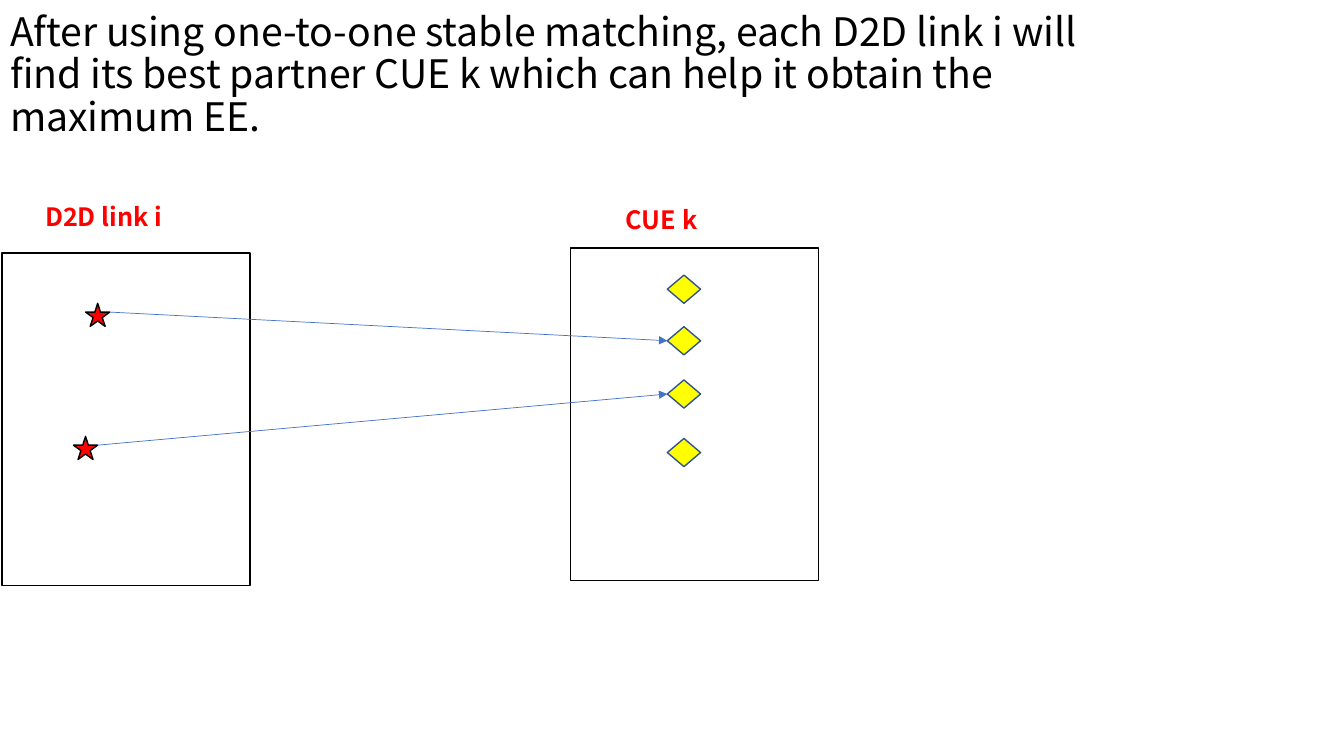
from dataclasses import dataclass

import pptx
import pptx.util
import pptx.dml.color
import pptx.enum.shapes
import pptx.enum.text
import pptx.oxml
import pptx.oxml.ns

SHAPE = pptx.enum.shapes.MSO_SHAPE
ANCHOR = pptx.enum.text.MSO_ANCHOR
AUTO = pptx.enum.text.MSO_AUTO_SIZE
LEFT = pptx.enum.text.PP_ALIGN.LEFT


@dataclass(frozen=True)
class Theme:
    font: str = "Noto Sans CJK SC"
    black: str = "000000"
    white: str = "FFFFFF"
    red: str = "FF0000"
    yellow: str = "FFFF00"
    navy: str = "325491"
    blue: str = "4472C4"
    title_size: float = 28
    label_size: float = 18
    outline: float = 1
    arrow: float = 0.5


THEME = Theme()
STAR_TIP = 0.38  # height of a star's side points, as a share of the star

TITLE = ("After using one-to-one stable matching, each D2D link i will find its "
         "best partner CUE k which can help it obtain the maximum EE.")

# Boxes are left, top, width, height in percent of the slide;
# labels, marker sizes and marker centres are in percent of their panel.
TITLE_BOX = (0, 0.4, 86.27, 19.33)
LINKS = dict(box=(0.15, 33.47, 18.45, 44), label="D2D link i",
             label_box=(13.41, -16.97, 63.01, 12.12),
             kind=SHAPE.STAR_5_POINT, fill=THEME.red, line=THEME.black,
             size=(9.76, 6.97), centres=[(38.6, 18.6), (33.7, 58.6)])
CUES = dict(box=(42.46, 32.8, 18.45, 44), label="CUE k",
            label_box=(18.29, -14.55, 63.01, 12.12),
            kind=SHAPE.FLOWCHART_DECISION, fill=THEME.yellow, line=THEME.navy,
            size=(13.41, 8.48),
            centres=[(45.7, y) for y in (12.4, 27.9, 43.9, 61.5)])
MATCHES = {0: 1, 1: 2}  # link index -> index of its partner CUE


def rgb(code):
    return pptx.dml.color.RGBColor.from_string(code)


def within(parent, percent):
    """Turn a percent box into lengths inside the parent box."""
    left, top, width, height = parent
    x, y, w, h = (v / 100 for v in percent)
    return [int(v) for v in (left + x * width, top + y * height, w * width, h * height)]


def apply(target, values):
    for name, value in values.items():
        setattr(target, name, value)


def write(sp, text, frame, para, font, color):
    tf = sp.text_frame
    apply(tf, dict(word_wrap=True, **frame))
    p = tf.paragraphs[0]
    apply(p, dict(alignment=LEFT, **para))
    r = p.add_run()
    r.text = text
    apply(r.font, dict(name=THEME.font, **font))
    r.font.color.rgb = rgb(color)


def add_title(s, slide_box):
    sp = s.shapes.title
    apply(sp, dict(zip(("left", "top", "width", "height"), within(slide_box, TITLE_BOX))))
    write(sp, TITLE,
          dict(vertical_anchor=ANCHOR.MIDDLE, auto_size=AUTO.TEXT_TO_FIT_SHAPE),
          dict(line_spacing=0.9),
          dict(size=pptx.util.Pt(THEME.title_size), bold=False), THEME.black)


def add_outlined(s, kind, box, fill, line):
    sp = s.shapes.add_shape(kind, *box)
    sp.shadow.inherit = False
    sp.fill.solid()
    sp.fill.fore_color.rgb = rgb(fill)
    sp.line.color.rgb = rgb(line)
    sp.line.width = pptx.util.Pt(THEME.outline)
    return sp


def add_panel(s, box, panel):
    """Draw a labelled frame with its markers and return the markers."""
    add_outlined(s, SHAPE.RECTANGLE, box, THEME.white, THEME.black)
    write(s.shapes.add_textbox(*within(box, panel["label_box"])), panel["label"],
          dict(auto_size=AUTO.SHAPE_TO_FIT_TEXT), {},
          dict(size=pptx.util.Pt(THEME.label_size), bold=True), THEME.red)
    w, h = panel["size"]
    return [add_outlined(s, panel["kind"], within(box, (x - w / 2, y - h / 2, w, h)),
                         panel["fill"], panel["line"])
            for x, y in panel["centres"]]


def add_match(s, star, diamond):
    """Point an arrow from a star's right tip to a diamond's left corner."""
    c = s.shapes.add_connector(
        pptx.enum.shapes.MSO_CONNECTOR.STRAIGHT,
        star.left + star.width, star.top + int(STAR_TIP * star.height),
        diamond.left, diamond.top + diamond.height // 2)
    c.end_connect(diamond, 1)
    c.line.color.rgb = rgb(THEME.blue)
    c.line.width = pptx.util.Pt(THEME.arrow)
    ns = pptx.oxml.ns.nsdecls("a")
    c.line._get_or_add_ln().append(
        pptx.oxml.parse_xml(f'<a:tailEnd {ns} type="triangle"/>'))
    c._element.spPr.append(pptx.oxml.parse_xml(f"<a:effectLst {ns}/>"))


def add_matching_slide(prs):
    s = prs.slides.add_slide(prs.slide_layouts[5])
    slide_box = (0, 0, prs.slide_width, prs.slide_height)
    add_title(s, slide_box)
    stars, diamonds = (add_panel(s, within(slide_box, panel["box"]), panel)
                       for panel in (LINKS, CUES))
    for link, cue in MATCHES.items():
        add_match(s, stars[link], diamonds[cue])


def main():
    prs = pptx.Presentation()
    prs.slide_width = pptx.util.Inches(13.33)
    prs.slide_height = pptx.util.Inches(7.5)
    add_matching_slide(prs)
    prs.save("out.pptx")


if __name__ == "__main__":
    main()
